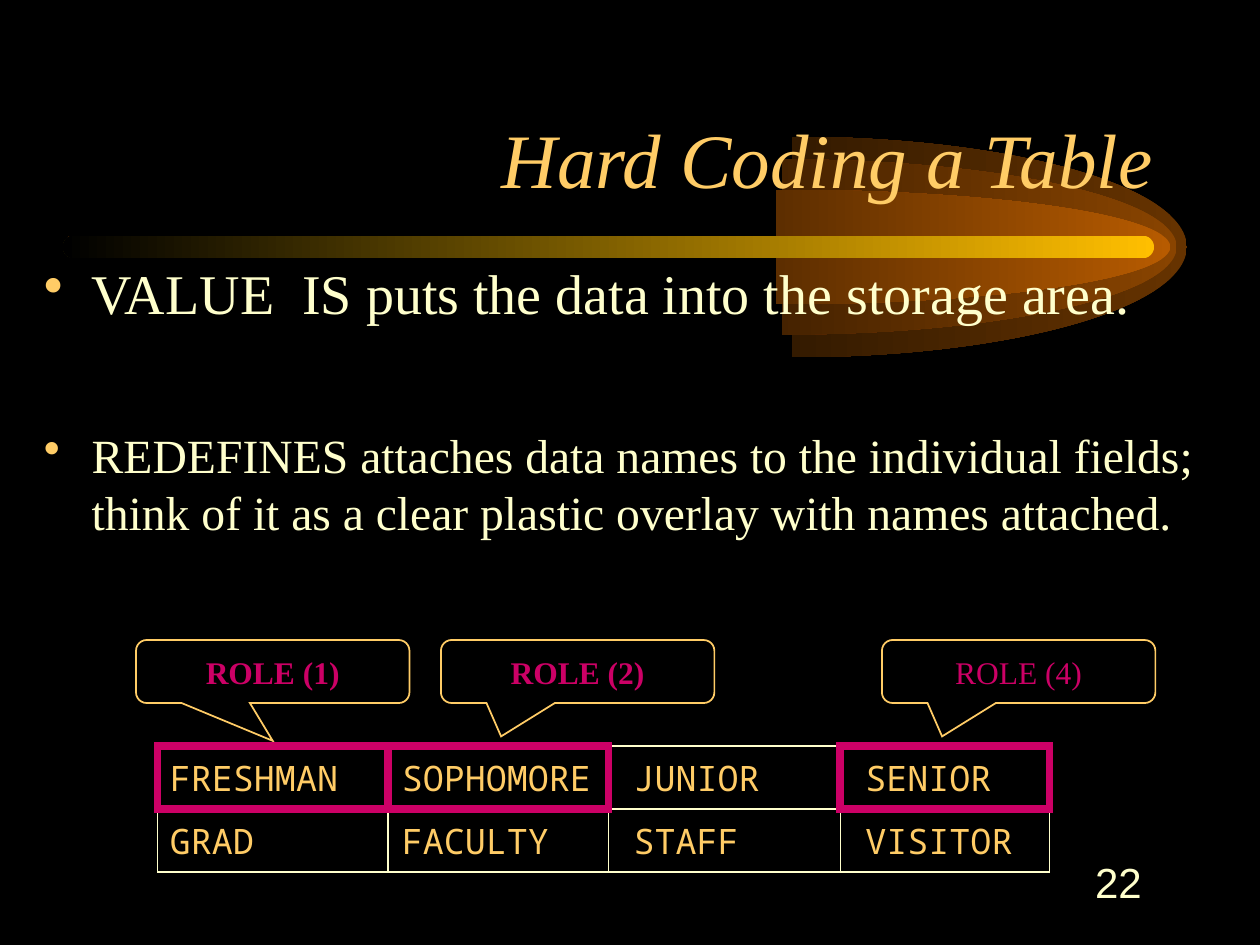
import math

from lxml import etree
from pptx import Presentation
from pptx.dml.color import RGBColor
from pptx.enum.shapes import MSO_CONNECTOR, MSO_SHAPE
from pptx.enum.text import MSO_ANCHOR, PP_ALIGN
from pptx.oxml.ns import qn
from pptx.util import Inches, Pt

RECTANGLE = MSO_SHAPE.RECTANGLE
ROUNDED = MSO_SHAPE.ROUNDED_RECTANGLE
CALLOUT = MSO_SHAPE.ROUNDED_RECTANGULAR_CALLOUT
STRAIGHT = MSO_CONNECTOR.STRAIGHT
LEFT, CENTER, RIGHT = PP_ALIGN.LEFT, PP_ALIGN.CENTER, PP_ALIGN.RIGHT
TOP, MIDDLE, BOTTOM = MSO_ANCHOR.TOP, MSO_ANCHOR.MIDDLE, MSO_ANCHOR.BOTTOM

BLACK, GOLD, CREAM, MAGENTA = "000000", "FFCC66", "FFFFCC", "CC0066"
SERIF, SANS, MONO = "Times New Roman", "Arial", "Noto Sans Mono"

ROLES = [
    ["FRESHMAN", "SOPHOMORE", "JUNIOR", "SENIOR"],
    ["GRAD", "FACULTY", "STAFF", "VISITOR"],
]
COLUMN_EDGES = [1.25, 3.08, 4.83, 6.67, 8.33]
TABLE_TOP, ROW_HEIGHT, TAB_STEP = 5.92, 0.5, 1.84


def rgb(color):
    return RGBColor.from_string(color)


def write(frame, text, size, color, font=SERIF, align=LEFT, anchor=TOP,
          bold=False, italic=False):
    frame.text = text
    frame.vertical_anchor = anchor
    paragraph = frame.paragraphs[0]
    paragraph.alignment = align
    style = paragraph.runs[0].font
    style.size, style.name, style.color.rgb = Pt(size), font, rgb(color)
    style.bold, style.italic = bold, italic
    return paragraph


def add_text(slide, box, *args, **kwargs):
    frame = slide.shapes.add_textbox(*map(Inches, box)).text_frame
    frame.word_wrap = True
    return write(frame, *args, **kwargs)


def add_bullet_text(slide, box, text, size):
    properties = add_text(slide, box, text, size, CREAM)._p.get_or_add_pPr()
    properties.set("marL", str(Inches(0.38)))
    properties.set("indent", str(-Inches(0.38)))
    bullet_color = etree.SubElement(properties, qn("a:buClr"))
    etree.SubElement(bullet_color, qn("a:srgbClr"), val=GOLD)
    etree.SubElement(properties, qn("a:buChar"), char="•")


def fade_to_black(shape, color):
    shape.shadow.inherit = False
    shape.line.fill.background()
    shape.fill.gradient()
    shape.fill.gradient_angle = 180
    for stop, stop_color in zip(shape.fill.gradient_stops, (color, BLACK)):
        stop.color.rgb = rgb(stop_color)


def half_ellipse_curves(radius_x, radius_y):
    """Start point, then control and end points of three 60 degree arcs."""
    def point(angle, pull=0):
        x = math.cos(angle) - pull * math.sin(angle)
        y = math.sin(angle) + pull * math.cos(angle)
        return radius_x * (1 + x), radius_y * (1 + y)

    pull = 4 / 3 * math.tan(math.radians(15))
    angles = [math.radians(degree) for degree in (-90, -30, 30, 90)]
    curves = [(point(start, pull), point(end, -pull), point(end))
              for start, end in zip(angles, angles[1:])]
    return point(angles[0]), curves


def add_half_ellipse(slide, left, top, width, height):
    """Right half of the ellipse that fills the box."""
    x, y, w, h = map(Inches, (left, top, width, height))
    builder = slide.shapes.build_freeform(x, y)
    builder.add_line_segments([(x + w, y), (x + w, y + h), (x, y + h)])
    shape = builder.convert_to_shape()
    outlines = shape._element.find(".//" + qn("a:pathLst"))
    for outline in list(outlines):
        outlines.remove(outline)

    def add_step(outline, tag, *points):
        step = etree.SubElement(outline, qn(tag))
        for px, py in points:
            etree.SubElement(step, qn("a:pt"), x=str(round(px)), y=str(round(py)))

    start, curves = half_ellipse_curves(w / 2, h / 2)
    for fill in ("norm", "none"):
        outline = etree.SubElement(outlines, qn("a:path"), w=str(w), h=str(h),
                                   fill=fill)
        add_step(outline, "a:moveTo", start)
        for curve in curves:
            add_step(outline, "a:cubicBezTo", *curve)
        if fill == "norm":
            add_step(outline, "a:lnTo", (w / 2, h / 2))
            etree.SubElement(outline, qn("a:close"))
    return shape


def add_comet(slide):
    for left, height, color in [
        (3.16, 1.75, "663300"), (3.08, 1.39, "894400"), (3.03, 0.91, "B75B00"),
    ]:
        top = 1.96 - height / 2
        fade_to_black(add_half_ellipse(slide, left, top, 6.26, height), color)
    bar = slide.shapes.add_shape(ROUNDED, *map(Inches, (0.5, 1.87, 8.66, 0.18)))
    bar.adjustments[0] = 0.5
    fade_to_black(bar, "FFBF00")


def add_outline(slide, kind, box, color, width):
    shape = slide.shapes.add_shape(kind, *map(Inches, box))
    shape.shadow.inherit = False
    shape.fill.background()
    shape.line.color.rgb = rgb(color)
    shape.line.width = Pt(width)
    line = shape._element.spPr.find(qn("a:ln"))
    etree.SubElement(line, qn("a:miter"), lim="800000")
    return shape


def add_storage_row(slide, top, names):
    """One unbroken storage area; tab stops set its fields apart."""
    left, right = COLUMN_EDGES[0], COLUMN_EDGES[-1]
    row = add_outline(slide, RECTANGLE, (left, top, right - left, ROW_HEIGHT),
                      CREAM, 1)
    paragraph = write(row.text_frame, "\t".join(names), 20, GOLD, MONO,
                      anchor=MIDDLE)
    tabs = etree.SubElement(paragraph._p.get_or_add_pPr(), qn("a:tabLst"))
    for index in range(1, len(names)):
        etree.SubElement(tabs, qn("a:tab"), pos=str(Inches(index * TAB_STEP)),
                         algn="l")


def add_role_table(slide):
    for index, names in enumerate(ROLES):
        add_storage_row(slide, TABLE_TOP + index * ROW_HEIGHT, names)
    bottom = TABLE_TOP + len(ROLES) * ROW_HEIGHT
    for edge in COLUMN_EDGES[1:-1]:
        divider = slide.shapes.add_connector(
            STRAIGHT, *map(Inches, (edge, TABLE_TOP, edge, bottom)))
        divider.line.color.rgb = rgb(CREAM)
        divider.line.width = Pt(1)
        etree.SubElement(divider._element.spPr, qn("a:effectLst"))


def add_role_marker(slide, number, callout_left, pointer, bold):
    """Callout naming a role, and a frame around its field."""
    callout = add_outline(slide, CALLOUT, (callout_left, 5.08, 2.17, 0.5), GOLD, 1)
    for index, value in enumerate((*pointer, 0.17)):
        callout.adjustments[index] = value
    callout.text_frame.word_wrap = False
    write(callout.text_frame, f"ROLE ({number})", 18, MAGENTA,
          align=CENTER, anchor=MIDDLE, bold=bold)
    start, end = COLUMN_EDGES[number - 1:number + 1]
    add_outline(slide, RECTANGLE, (start, TABLE_TOP, end - start, ROW_HEIGHT),
                MAGENTA, 4.5)


def main():
    deck = Presentation()
    deck.slide_width, deck.slide_height = Inches(10), Inches(7.5)
    slide = deck.slides.add_slide(deck.slide_layouts[6])
    slide.background.fill.solid()
    slide.background.fill.fore_color.rgb = rgb(BLACK)

    add_comet(slide)
    add_text(slide, (0.75, 0.42, 8.5, 1.25), "Hard Coding a Table", 44, GOLD,
             align=RIGHT, anchor=BOTTOM, italic=True)
    add_bullet_text(slide, (0.25, 2, 9.5, 1.25),
                    "VALUE  IS puts the data into the storage area.", 32)
    add_bullet_text(slide, (0.25, 3.33, 9.5, 1.25),
                    "REDEFINES attaches data names to the individual fields; "
                    "think of it as a clear plastic overlay with names attached.",
                    27.2)
    add_role_table(slide)
    add_role_marker(slide, 1, 1.08, (0, 1.1), True)
    add_role_marker(slide, 2, 3.5, (-0.28, 1.03), True)
    add_role_marker(slide, 4, 7, (-0.28, 1.03), False)
    add_text(slide, (7.08, 6.75, 2.08, 0.5), "22", 24, CREAM, SANS,
             align=RIGHT, anchor=MIDDLE)
    deck.save("out.pptx")


if __name__ == "__main__":
    main()
